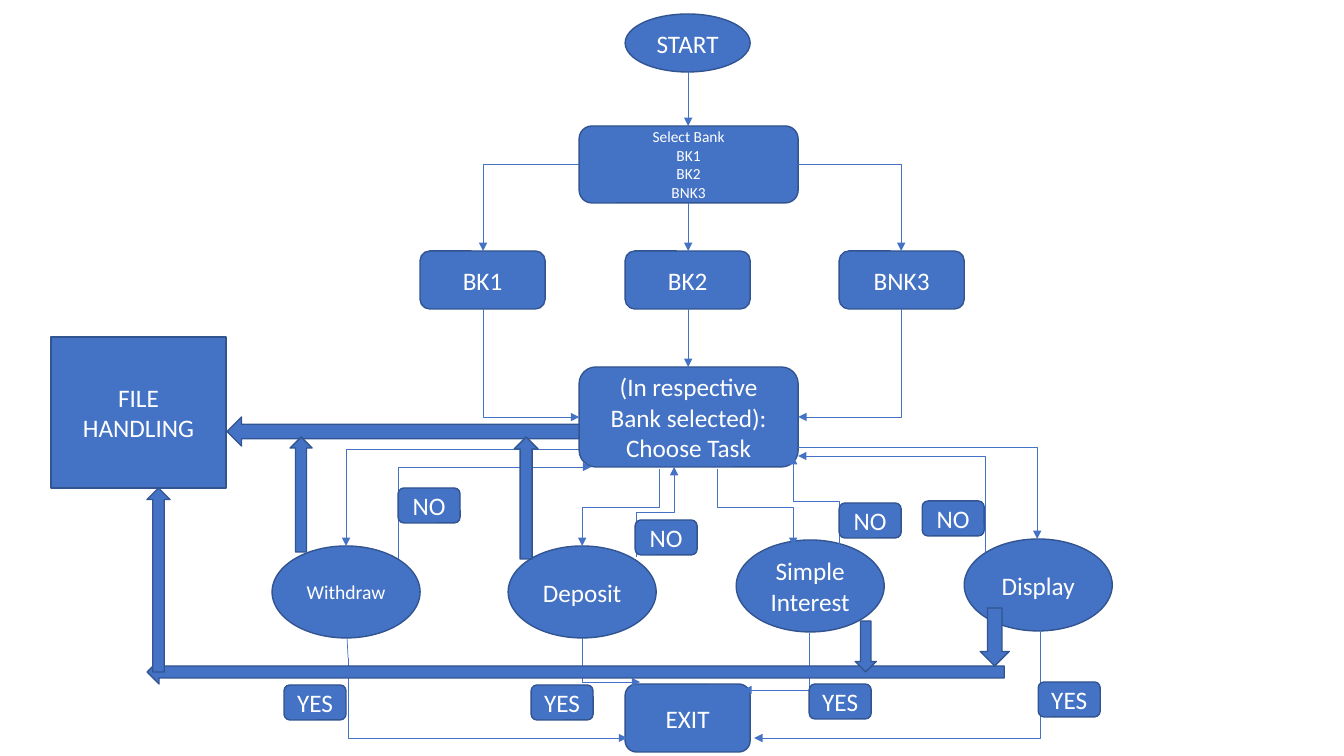
from typing import NamedTuple

from lxml.etree import SubElement
from pptx import Presentation
from pptx.dml.color import RGBColor
from pptx.enum.shapes import MSO_CONNECTOR as LINK
from pptx.enum.shapes import MSO_SHAPE as SHAPE
from pptx.enum.text import MSO_ANCHOR as ANCHOR
from pptx.enum.text import PP_ALIGN as ALIGN
from pptx.oxml.ns import qn
from pptx.util import Inches, Pt

BLUE = RGBColor(0x44, 0x72, 0xC4)
EDGE = RGBColor(0x32, 0x54, 0x91)
WHITE = RGBColor(0xFF, 0xFF, 0xFF)
FONT = "Calibri"
SCALE = 914400 / 100.8

BANK_SIZE = (125, 58)
STEP_WIDTH = 219
TASK_SIZE = (148, 92)
ANSWER_SIZE = (62, 35)
AXIS_X = 688
RIGHT_ANGLE = "5400000"


class Block(NamedTuple):
    kind: SHAPE
    left: int
    top: int
    size: tuple[int, int]
    text: str = ""
    points: int = 18


class Route(NamedTuple):
    start: tuple[int, int]
    end: tuple[int, int]
    bends: int = 0
    vertical_first: bool = False
    arrow: bool = True


STEPS = [
    Block(SHAPE.OVAL, 625, 14, BANK_SIZE, "START"),
    *(
        Block(SHAPE.ROUNDED_RECTANGLE, left, 251, BANK_SIZE, name)
        for left, name in ((625, "BK2"), (839, "BNK3"), (420, "BK1"))
    ),
    Block(SHAPE.ROUNDED_RECTANGLE, 579, 126, (STEP_WIDTH, 77),
          "Select Bank\nBK1\nBK2\nBNK3", 11),
    Block(SHAPE.ROUNDED_RECTANGLE, 579, 367, (STEP_WIDTH, 100),
          "(In respective Bank selected):\nChoose Task"),
    Block(SHAPE.OVAL, 272, 546, TASK_SIZE, "Withdraw", 14),
    Block(SHAPE.OVAL, 508, 546, TASK_SIZE, "Deposit"),
    Block(SHAPE.OVAL, 736, 540, TASK_SIZE, "Simple\nInterest"),
    Block(SHAPE.OVAL, 964, 539, TASK_SIZE, "Display"),
    Block(SHAPE.ROUNDED_RECTANGLE, 625, 684, (125, 68), "EXIT"),
    Block(SHAPE.RECTANGLE, 51, 337, (175, 151), "FILE\nHANDLING"),
]

ROUTES = [
    *(
        Route((AXIS_X, top), (AXIS_X, bottom))
        for top, bottom in ((72, 126), (203, 251), (309, 367))
    ),
    Route((579, 164), (483, 251), 1),
    Route((798, 164), (901, 251), 1),
    Route((483, 309), (579, 417), 1, True),
    Route((901, 309), (798, 417), 1, True),
    Route((579, 449), (346, 546), 1),
    Route((798, 447), (1037, 539), 1),
    Route((659, 469), (582, 546), 2, True),
    Route((717, 469), (793, 546), 2, True),
    Route((398, 559), (591, 467), 1, True),
    Route((985, 552), (798, 456), 1, True),
    Route((636, 557), (674, 467), 2, True),
    Route((839, 546), (793, 456), 2, True),
    Route((348, 658), (627, 738), 1, True),
    Route((1040, 650), (754, 738), 1, True),
    Route((582, 638), (640, 682), 1, True),
    Route((809, 633), (743, 690), 1, True),
]

FILE_ARROWS = [
    Block(SHAPE.LEFT_ARROW, 227, 417, (352, 29)),
    Block(SHAPE.UP_ARROW, 290, 437, (22, 115)),
    Block(SHAPE.UP_ARROW, 514, 437, (24, 122)),
    Block(SHAPE.LEFT_ARROW, 147, 660, (857, 24)),
    Block(SHAPE.UP_ARROW, 147, 488, (23, 184)),
    Block(SHAPE.DOWN_ARROW, 855, 621, (21, 51)),
    Block(SHAPE.DOWN_ARROW, 980, 608, (29, 58)),
]

ANSWER_SPOTS = {
    "NO": ((398, 488), (635, 520), (839, 503), (922, 501)),
    "YES": ((531, 685), (809, 684), (1038, 682), (284, 685)),
}
ANSWERS = [
    Block(SHAPE.ROUNDED_RECTANGLE, left, top, ANSWER_SIZE, text)
    for text, spots in ANSWER_SPOTS.items()
    for left, top in spots
]

EXIT_STUBS = [
    Route((348, 658), (347, 638), arrow=False),
    Route((1040, 650), (1040, 621), arrow=False),
]


def px(value: float) -> int:
    return round(value * SCALE)


def draw_block(page, block: Block) -> None:
    box = page.shapes.add_shape(
        block.kind, px(block.left), px(block.top), *map(px, block.size)
    )
    box.shadow.inherit = False
    box.fill.solid()
    box.fill.fore_color.rgb = BLUE
    box.line.color.rgb = EDGE
    box.line.width = Pt(1)
    if not block.text:
        return
    frame = box.text_frame
    frame.word_wrap = True
    frame.vertical_anchor = ANCHOR.MIDDLE
    frame.text = block.text
    for para in frame.paragraphs:
        para.alignment = ALIGN.CENTER
        para.font.name = FONT
        para.font.size = Pt(block.points)
        para.font.color.rgb = WHITE


def draw_route(page, route: Route) -> None:
    (x1, y1), (x2, y2) = route.start, route.end
    if route.vertical_first:
        middle_x, middle_y = (x1 + x2) / 2, (y1 + y2) / 2
        half_x, half_y = (y2 - y1) / 2, (x1 - x2) / 2
        x1, x2 = middle_x - half_x, middle_x + half_x
        y1, y2 = middle_y - half_y, middle_y + half_y
    kind = LINK.ELBOW if route.bends else LINK.STRAIGHT
    link = page.shapes.add_connector(kind, *map(px, (x1, y1, x2, y2)))
    link.line.color.rgb = BLUE
    link.line.width = Pt(0.5)
    properties = link._element.spPr
    if route.bends:
        geometry = properties.find(qn("a:prstGeom"))
        geometry.set("prst", f"bentConnector{route.bends + 1}")
    if route.vertical_first:
        properties.find(qn("a:xfrm")).set("rot", RIGHT_ANGLE)
    if route.arrow:
        outline = properties.find(qn("a:ln"))
        SubElement(outline, qn("a:tailEnd"), type="triangle")
    SubElement(properties, qn("a:effectLst"))


deck = Presentation()
deck.slide_width, deck.slide_height = Inches(13.33), Inches(7.5)
page = deck.slides.add_slide(deck.slide_layouts[6])

for step in STEPS:
    draw_block(page, step)
for route in ROUTES:
    draw_route(page, route)
for block in FILE_ARROWS + ANSWERS:
    draw_block(page, block)
for stub in EXIT_STUBS:
    draw_route(page, stub)

deck.save("out.pptx")
